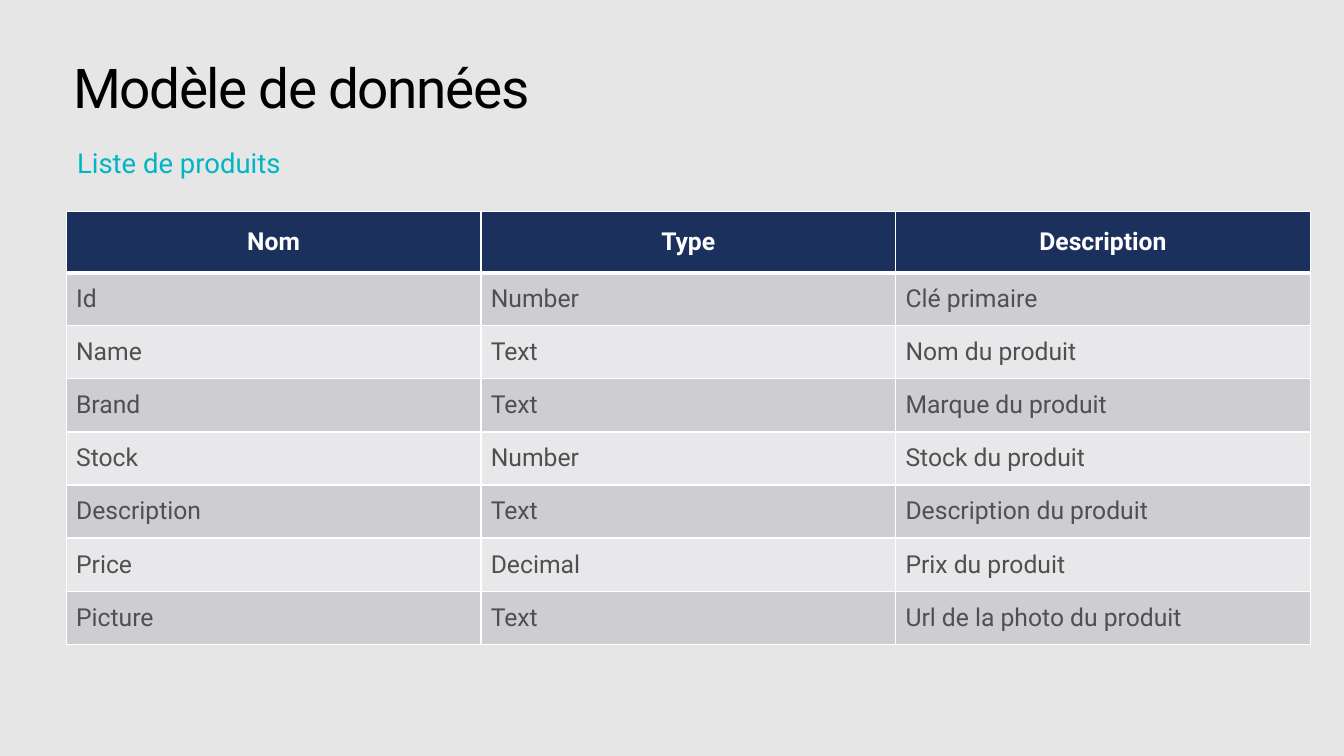
from lxml.etree import SubElement
from pptx import Presentation
from pptx.dml.color import RGBColor
from pptx.enum.text import MSO_ANCHOR, PP_ALIGN
from pptx.oxml.ns import qn
from pptx.util import Inches, Pt

# Content
TITLE = "Modèle de données"
SUBTITLE = "Liste de produits"
HEADER = ("Nom", "Type", "Description")
FIELDS = [
    ("Id", "Number", "Clé primaire"),
    ("Name", "Text", "Nom du produit"),
    ("Brand", "Text", "Marque du produit"),
    ("Stock", "Number", "Stock du produit"),
    ("Description", "Text", "Description du produit"),
    ("Price", "Decimal", "Prix du produit"),
    ("Picture", "Text", "Url de la photo du produit"),
]

# Style and layout, in inches
FONT = "Roboto"
WHITE, NAVY, GREY_TEXT = "FFFFFF", "1C305E", "505050"
BANDS = ("CDCDD2", "E8E8EA")
SLIDE_WIDTH, SLIDE_HEIGHT = 13.6, 7.65
TEXT_LEFT = 0.58
TABLE_LEFT, TABLE_TOP, TABLE_WIDTH, TABLE_HEIGHT = 0.67, 2.14, 12.59, 4.38
HEADER_HEIGHT = 0.62
ROW_HEIGHT = (TABLE_HEIGHT - HEADER_HEIGHT) / len(FIELDS)


def color(value):
    return RGBColor.from_string(value)


def set_font(paragraph, size, value, bold=False):
    font = paragraph.font
    font.name, font.size, font.bold = FONT, Pt(size), bold
    font.color.rgb = color(value)


def fill_frame(shape, text, size, value, side, top):
    frame = shape.text_frame
    frame.word_wrap = True
    frame.vertical_anchor = MSO_ANCHOR.TOP
    frame.margin_left = frame.margin_right = Inches(side)
    frame.margin_top = frame.margin_bottom = Inches(top)
    frame.text = text
    paragraph = frame.paragraphs[0]
    paragraph.alignment = PP_ALIGN.LEFT
    set_font(paragraph, size, value)
    return paragraph


def set_borders(cell, bottom_width, top_width):
    """Draw white lines on all sides; borders precede the fill in the XML."""
    properties = cell._tc.get_or_add_tcPr()
    widths = {"lnL": 1, "lnR": 1, "lnT": top_width, "lnB": bottom_width}
    for side, width in widths.items():
        line = SubElement(properties, qn(f"a:{side}"), w=str(Pt(width)))
        fill = SubElement(line, qn("a:solidFill"))
        SubElement(fill, qn("a:srgbClr"), val=WHITE)


def add_fields_table(slide):
    rows = [HEADER, *FIELDS]
    table = slide.shapes.add_table(
        len(rows), len(HEADER), Inches(TABLE_LEFT), Inches(TABLE_TOP),
        Inches(TABLE_WIDTH), Inches(TABLE_HEIGHT)).table
    for row_index, texts in enumerate(rows):
        is_header = row_index == 0
        height = HEADER_HEIGHT if is_header else ROW_HEIGHT
        table.rows[row_index].height = Inches(height)
        for column_index, text in enumerate(texts):
            cell = table.cell(row_index, column_index)
            set_borders(cell, 3 if is_header else 1, 3 if row_index == 1 else 1)
            cell.fill.solid()
            cell.fill.fore_color.rgb = color(
                NAVY if is_header else BANDS[(row_index - 1) % 2])
            cell.vertical_anchor = MSO_ANCHOR.MIDDLE
            cell.text = text
            paragraph = cell.text_frame.paragraphs[0]
            paragraph.alignment = PP_ALIGN.CENTER if is_header else PP_ALIGN.LEFT
            set_font(paragraph, 18, WHITE if is_header else GREY_TEXT, is_header)


def main():
    presentation = Presentation()
    presentation.slide_width = Inches(SLIDE_WIDTH)
    presentation.slide_height = Inches(SLIDE_HEIGHT)
    slide = presentation.slides.add_slide(presentation.slide_layouts[5])
    slide.background.fill.solid()
    slide.background.fill.fore_color.rgb = color("E6E6E6")

    # Subtitle
    subtitle = slide.shapes.add_textbox(
        Inches(TEXT_LEFT), Inches(1.32), Inches(4.95), Inches(0.66))
    fill_frame(subtitle, SUBTITLE, 20, "00B6C2", 0.2, 0.16)

    # Title, with slightly tightened letters
    title = slide.shapes.title
    title.left, title.top = Inches(TEXT_LEFT), Inches(0.52)
    title.width, title.height = Inches(10.81), Inches(1.31)
    paragraph = fill_frame(title, TITLE, 40, "000000", 0.16, 0.1)
    paragraph.line_spacing = 0.9
    paragraph.runs[0].font._element.set("spc", "-100")

    add_fields_table(slide)
    presentation.save("out.pptx")


if __name__ == "__main__":
    main()
